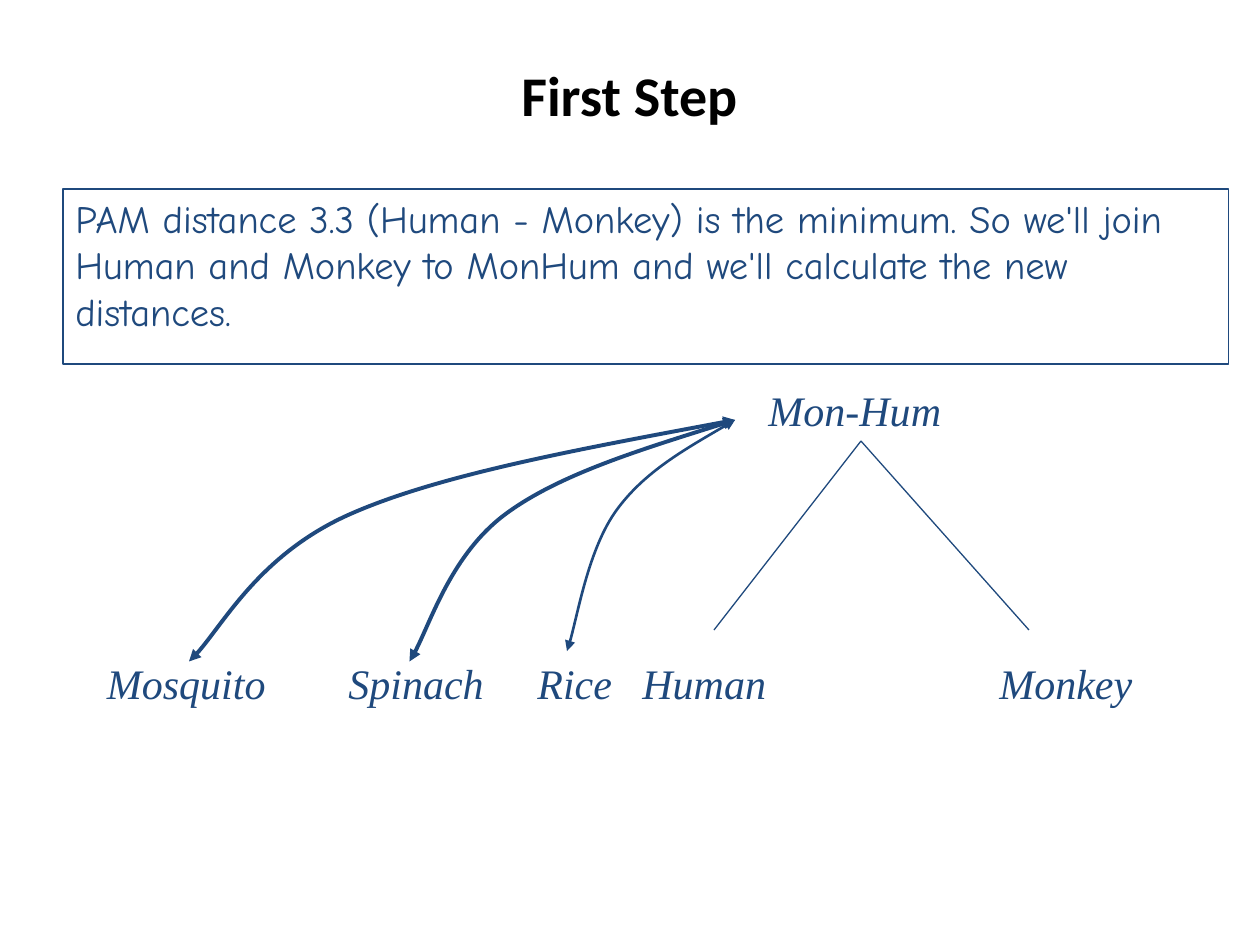
from dataclasses import dataclass

from lxml.etree import SubElement
from pptx import Presentation
from pptx.dml.color import RGBColor
from pptx.enum.shapes import MSO_CONNECTOR, MSO_SHAPE
from pptx.enum.text import MSO_ANCHOR, MSO_AUTO_SIZE, PP_ALIGN
from pptx.oxml.ns import qn
from pptx.util import Pt


@dataclass(frozen=True)
class Theme:
    blue: RGBColor = RGBColor(0x1F, 0x49, 0x7D)
    black: RGBColor = RGBColor(0, 0, 0)
    title_font: str = "Calibri"
    body_font: str = "Comic Neue"
    label_font: str = "Times New Roman"
    title_size: float = 32
    body_size: float = 22
    label_size: float = 24
    thin: float = 0.75


THEME = Theme()
TITLE = "First Step"
EXPLANATION = (
    "PAM distance 3.3 (Human - Monkey) is the minimum. So we'll join Human and "
    "Monkey to MonHum and we'll calculate the new distances."
)
LEAF_TOP = 372
LABEL_HEIGHT = 36
LABELS = [
    ("Mon-Hum", 432, 216, 120),
    ("Monkey", 564, LEAF_TOP, 108),
    ("Human", 360, LEAF_TOP, 120),
    ("Spinach", 192, LEAF_TOP, 126),
    ("Mosquito", 54, LEAF_TOP, 105),
    ("Rice", 300, LEAF_TOP, 57),
]
BRANCH_ROOT = (492, 252)
BRANCH_ENDS = [(588, 360), (408, 360)]
CURVE_ROOT = (420, 240)
CURVES = [((324, 372), 1.5), ((108, 378), 2.25), ((234, 378), 2.25)]
CURVE_PROFILE = [(0.27, 0.115), (0.54, 0.225), (0.705, 0.39),
                 (0.87, 0.555), (0.95, 0.9), (1, 1)]


def style_text(shape, text, font, size, color, bold=False, italic=False):
    frame = shape.text_frame
    frame.text = text
    frame.auto_size = MSO_AUTO_SIZE.NONE
    frame.vertical_anchor = MSO_ANCHOR.TOP
    paragraph = frame.paragraphs[0]
    paragraph.alignment = PP_ALIGN.LEFT
    run_font = paragraph.runs[0].font
    run_font.name, run_font.size = font, Pt(size)
    run_font.bold, run_font.italic = bold, italic
    run_font.color.rgb = color
    return frame


def style_line(shape, width):
    shape.line.color.rgb = THEME.blue
    shape.line.width = Pt(width)


def place(shape, left, top, width, height):
    shape.left, shape.top = Pt(left), Pt(top)
    shape.width, shape.height = Pt(width), Pt(height)


def add_title(slide):
    title = slide.shapes.title
    place(title, 289.5, 31, 140.4, 46)
    frame = style_text(title, TITLE, THEME.title_font, THEME.title_size, THEME.black, bold=True)
    frame.word_wrap = False
    frame.paragraphs[0].alignment = PP_ALIGN.CENTER


def add_explanation(slide):
    box = slide.shapes.add_shape(MSO_SHAPE.RECTANGLE, Pt(36), Pt(108), Pt(666), Pt(100))
    box.shadow.inherit = False
    box.fill.background()
    style_line(box, THEME.thin)
    style_text(box, EXPLANATION, THEME.body_font, THEME.body_size, THEME.blue).word_wrap = True


def add_label(slide, text, left, top, width):
    label = slide.shapes.add_textbox(Pt(left), Pt(top), Pt(width), Pt(LABEL_HEIGHT))
    frame = style_text(label, text, THEME.label_font, THEME.label_size, THEME.blue, italic=True)
    frame.word_wrap = False


def add_branch(slide, end):
    branch = slide.shapes.add_connector(
        MSO_CONNECTOR.STRAIGHT, *(Pt(value) for value in BRANCH_ROOT + end))
    style_line(branch, THEME.thin)
    SubElement(branch._element.spPr, qn("a:effectLst"))


def round_segments(shape):
    path = next(shape._element.iter(qn("a:path")))
    segments = path.findall(qn("a:lnTo"))
    for start in range(0, len(segments), 3):
        curve = SubElement(path, qn("a:cubicBezTo"))
        for segment in segments[start:start + 3]:
            curve.append(segment[0])
            path.remove(segment)


def add_curve(slide, end, width):
    (root_x, root_y), (end_x, end_y) = CURVE_ROOT, end
    points = [(Pt(root_x + (end_x - root_x) * across), Pt(root_y + (end_y - root_y) * down))
              for across, down in CURVE_PROFILE]
    builder = slide.shapes.build_freeform(Pt(root_x), Pt(root_y))
    builder.add_line_segments(points, close=False)
    curve = builder.convert_to_shape()
    round_segments(curve)
    curve.shadow.inherit = False
    curve.fill.background()
    style_line(curve, width)
    line = curve.line._get_or_add_ln()
    for arrow in ("a:headEnd", "a:tailEnd"):
        SubElement(line, qn(arrow), type="triangle")


def main():
    presentation = Presentation()
    presentation.slide_width, presentation.slide_height = Pt(720), Pt(540)
    slide = presentation.slides.add_slide(presentation.slide_layouts[5])
    add_title(slide)
    add_explanation(slide)
    for label in LABELS:
        add_label(slide, *label)
    for end in BRANCH_ENDS:
        add_branch(slide, end)
    for end, width in CURVES:
        add_curve(slide, end, width)
    presentation.save("out.pptx")


if __name__ == "__main__":
    main()
